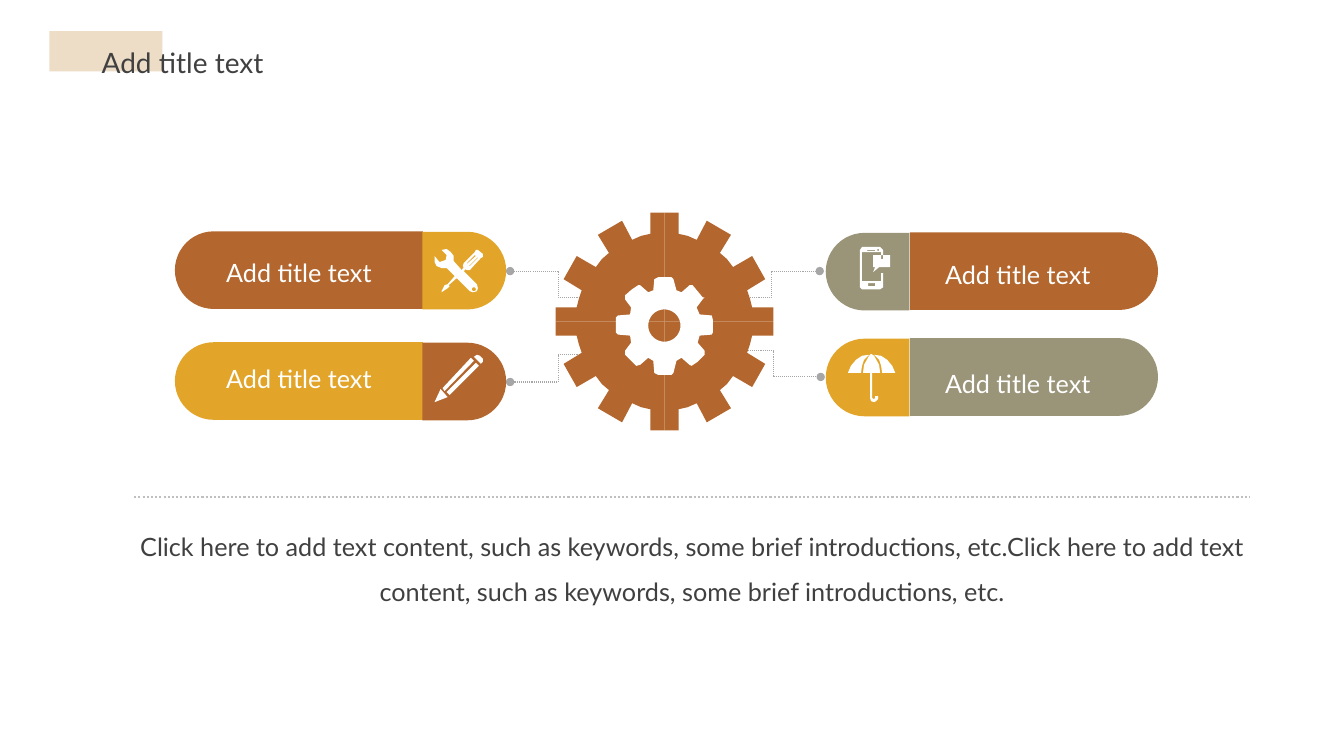
from math import cos, pi, sin

from pptx import Presentation
from pptx.dml.color import RGBColor
from pptx.enum.dml import MSO_LINE
from pptx.enum.shapes import MSO_CONNECTOR, MSO_SHAPE
from pptx.enum.text import MSO_AUTO_SIZE, PP_ALIGN
from pptx.oxml.ns import qn
from pptx.util import Inches, Pt
from lxml.etree import SubElement

RUST = RGBColor(0xB3, 0x67, 0x2E)
GOLD = RGBColor(0xE2, 0xA5, 0x2A)
OLIVE = RGBColor(0x9A, 0x94, 0x79)
SAND = RGBColor(0xED, 0xDD, 0xC6)
WHITE = RGBColor(0xFF, 0xFF, 0xFF)
INK = RGBColor(0x40, 0x40, 0x40)
LINK_GREY = RGBColor(0xA6, 0xA6, 0xA6)
RULE_GREY = RGBColor(0xBF, 0xBF, 0xBF)

deck = Presentation()
deck.slide_width, deck.slide_height = Inches(13.33), Inches(7.5)
page = deck.slides.add_slide(deck.slide_layouts[6])
shapes = page.shapes


def add_outline(contours, color):
    """Fill one freeform made of closed contours, each a list of (x, y) in inches."""
    builder = None
    for contour in contours:
        (x, y), *rest = [(Inches(px), Inches(py)) for px, py in contour]
        if builder is None:
            builder = shapes.build_freeform(x, y)
        else:
            builder.move_to(x, y)
        builder.add_line_segments(rest, close=True)
    outline = builder.convert_to_shape()
    outline.shadow.inherit = False
    outline.fill.solid()
    outline.fill.fore_color.rgb = color
    outline.line.fill.background()


def circle(x, y, radius, steps=48):
    return [(x + radius * cos(2 * pi * i / steps), y + radius * sin(2 * pi * i / steps))
            for i in range(steps)]


# Dotted links and divider: type, from, to, colour, width, round ends
elbow, straight = MSO_CONNECTOR.ELBOW, MSO_CONNECTOR.STRAIGHT
for kind, start, end, color, width, dotted_ends in [
    (elbow, (7.18, 2.95), (8.13, 2.69), LINK_GREY, 0.75, True),
    (elbow, (7.2, 3.48), (8.14, 3.74), LINK_GREY, 0.75, True),
    (elbow, (6.01, 3.52), (5.06, 3.79), LINK_GREY, 0.75, True),
    (elbow, (6.01, 2.95), (5.06, 2.69), LINK_GREY, 0.75, True),
    (straight, (1.33, 4.93), (12.39, 4.93), RULE_GREY, 1.5, False),
]:
    link = shapes.add_connector(kind, *[Inches(v) for v in start + end])
    link.line.color.rgb = color
    link.line.width = Pt(width)
    link.line.dash_style = MSO_LINE.ROUND_DOT
    properties = link._element.spPr
    if dotted_ends:
        for tag in ("a:headEnd", "a:tailEnd"):
            SubElement(properties.find(qn("a:ln")), qn(tag)).set("type", "oval")
    SubElement(properties, qn("a:effectLst"))

# Title accent and pill halves: shape, left, top, width, height, rotation, colour
half = MSO_SHAPE.ROUND_2_SAME_RECTANGLE
for kind, left, top, width, height, rotation, color in [
    (MSO_SHAPE.RECTANGLE, 0.49, 0.31, 1.12, 0.4, 0, SAND),
    (half, 2.58, 1.45, 0.77, 2.46, 270, RUST),
    (half, 4.22, 2.27, 0.77, 0.83, 90, GOLD),
    (half, 2.58, 2.55, 0.77, 2.46, 270, GOLD),
    (half, 4.22, 3.37, 0.77, 0.83, 90, RUST),
    (half, 9.87, 1.46, 0.77, 2.46, 90, RUST),
    (half, 8.22, 2.28, 0.77, 0.83, 270, OLIVE),
    (half, 9.87, 2.51, 0.77, 2.46, 90, OLIVE),
    (half, 8.22, 3.33, 0.77, 0.83, 270, GOLD),
]:
    block = shapes.add_shape(kind, Inches(left), Inches(top), Inches(width), Inches(height))
    if kind == half:
        block.adjustments[0] = 0.5
        block.adjustments[1] = 0
    block.rotation = rotation
    block.shadow.inherit = False
    block.fill.solid()
    block.fill.fore_color.rgb = color
    block.line.fill.background()

# Wrench and screwdriver
add_outline([
    [(4.79, 2.52), (4.74, 2.48), (4.72, 2.48), (4.71, 2.5), (4.6, 2.61), (4.59, 2.64),
     (4.6, 2.65), (4.58, 2.68), (4.5, 2.59), (4.5, 2.54), (4.47, 2.5), (4.43, 2.47),
     (4.38, 2.48), (4.43, 2.53), (4.42, 2.58), (4.36, 2.6), (4.31, 2.54), (4.31, 2.6),
     (4.33, 2.64), (4.38, 2.66), (4.43, 2.66), (4.51, 2.74), (4.44, 2.82), (4.41, 2.83),
     (4.38, 2.89), (4.38, 2.9), (4.44, 2.86), (4.46, 2.84), (4.45, 2.83), (4.53, 2.76),
     (4.66, 2.89), (4.69, 2.9), (4.73, 2.89), (4.74, 2.86), (4.73, 2.82), (4.6, 2.69),
     (4.62, 2.67), (4.63, 2.68), (4.66, 2.68), (4.77, 2.56), (4.79, 2.55)],
    circle(4.7, 2.87, 0.02, 16),
    [(4.63, 2.62), (4.63, 2.61), (4.71, 2.53), (4.72, 2.54)],
    [(4.66, 2.64), (4.65, 2.64), (4.74, 2.55), (4.74, 2.56)],
], WHITE)

# Pencil: tip, two strips, cap
add_outline([
    [(4.37, 3.86), (4.31, 3.99), (4.44, 3.94)],
    [(4.67, 3.55), (4.39, 3.85), (4.41, 3.88), (4.7, 3.58)],
    [(4.72, 3.6), (4.43, 3.89), (4.46, 3.92), (4.75, 3.63)],
    [(4.7, 3.54), (4.73, 3.52), (4.76, 3.53), (4.79, 3.56), (4.79, 3.59), (4.77, 3.61)],
], WHITE)

# Phone with speech bubble
add_outline([
    [(8.74, 2.79), (8.55, 2.79), (8.55, 2.5), (8.74, 2.5), (8.74, 2.57), (8.76, 2.57),
     (8.76, 2.48), (8.73, 2.45), (8.55, 2.45), (8.53, 2.48), (8.53, 2.85), (8.55, 2.87),
     (8.73, 2.87), (8.76, 2.85), (8.76, 2.71), (8.74, 2.71)],
    circle(8.71, 2.48, 0.01, 12),
    [(8.6, 2.48), (8.68, 2.48), (8.68, 2.49), (8.6, 2.49)],
    [(8.61, 2.81), (8.68, 2.81), (8.68, 2.84), (8.61, 2.84)],
    [(8.66, 2.65), (8.68, 2.65), (8.66, 2.7), (8.72, 2.65), (8.83, 2.65), (8.83, 2.53),
     (8.66, 2.53)],
], WHITE)

# Umbrella: mirrored side panels, then middle panel with handle
side_panel = [(8.41, 3.7), (8.44, 3.63), (8.49, 3.57), (8.55, 3.53), (8.62, 3.52),
              (8.57, 3.57), (8.55, 3.63), (8.54, 3.7)]
add_outline([
    side_panel,
    [(17.29 - x, y) for x, y in side_panel],
    [(8.56, 3.7), (8.57, 3.62), (8.62, 3.53), (8.64, 3.51), (8.67, 3.53), (8.72, 3.62),
     (8.73, 3.7), (8.65, 3.7), (8.65, 3.95), (8.67, 3.96), (8.68, 3.95), (8.68, 3.93),
     (8.71, 3.93), (8.71, 3.96), (8.69, 3.98), (8.67, 3.99), (8.64, 3.98), (8.63, 3.95),
     (8.63, 3.7)],
], WHITE)

# Outer gear: one quadrant, as offsets from the centre, mirrored four ways
gear_x, gear_y = 6.59, 3.19
quadrant = [(0, 1.08), (0.14, 1.08), (0.14, 0.87), (0.23, 0.85), (0.32, 0.81), (0.42, 1),
            (0.66, 0.86), (0.55, 0.68), (0.62, 0.62), (0.68, 0.54), (0.87, 0.65), (1, 0.42),
            (0.82, 0.31), (0.85, 0.22), (0.87, 0.14), (1.08, 0.14), (1.08, 0), (0, 0)]
for side_x in (-1, 1):
    for side_y in (-1, 1):
        add_outline([[(gear_x + side_x * x, gear_y + side_y * y) for x, y in quadrant]], RUST)

# Inner gear with a round hole
add_outline([
    [(7.07, 3.3), (7.06, 3.32), (6.94, 3.33), (6.92, 3.4), (6.99, 3.48), (6.99, 3.52),
     (6.92, 3.59), (6.86, 3.63), (6.84, 3.62), (6.76, 3.55), (6.71, 3.58), (6.68, 3.7),
     (6.66, 3.72), (6.53, 3.72), (6.49, 3.7), (6.48, 3.58), (6.43, 3.55), (6.35, 3.62),
     (6.31, 3.63), (6.2, 3.52), (6.2, 3.48), (6.26, 3.4), (6.25, 3.33), (6.13, 3.32),
     (6.11, 3.3), (6.11, 3.15), (6.13, 3.13), (6.25, 3.12), (6.26, 3.05), (6.2, 2.97),
     (6.2, 2.93), (6.27, 2.87), (6.33, 2.83), (6.35, 2.83), (6.43, 2.9), (6.48, 2.88),
     (6.49, 2.77), (6.53, 2.75), (6.66, 2.75), (6.68, 2.77), (6.71, 2.88), (6.76, 2.9),
     (6.84, 2.83), (6.87, 2.83), (6.97, 2.95), (6.99, 2.95), (6.97, 2.97), (6.91, 3.05),
     (6.94, 3.12), (7.06, 3.13), (7.07, 3.17)],
    circle(6.59, 3.23, 0.16),
], WHITE)

# Texts: wording, left, top, width, height, size, colour, alignment, line spacing, padded
TITLE = "Add title text"
BODY = ("Click here to add text content, such as keywords, some brief introductions, etc."
        "Click here to add text content, such as keywords, some brief introductions, etc.")
center = PP_ALIGN.CENTER
for text, left, top, width, height, size, color, align, spacing, padded in [
    (TITLE, 0.91, 0.24, 3.5, 0.55, 20, INK, PP_ALIGN.JUSTIFY, 1.5, True),
    (TITLE, 1.85, 2.54, 2.23, 0.37, 18, WHITE, center, 0.9, True),
    (TITLE, 1.85, 3.59, 2.23, 0.37, 18, WHITE, center, 0.9, True),
    (TITLE, 8.98, 2.52, 2.23, 0.4, 18, WHITE, center, 1.0, True),
    (TITLE, 8.98, 3.61, 2.23, 0.4, 18, WHITE, center, 1.0, True),
    (BODY, 1.33, 5.12, 11.07, 0.86, 18, INK, center, 1.5, False),
]:
    box = shapes.add_textbox(Inches(left), Inches(top), Inches(width), Inches(height))
    frame = box.text_frame
    frame.word_wrap = True
    frame.auto_size = MSO_AUTO_SIZE.SHAPE_TO_FIT_TEXT
    if not padded:
        frame.margin_left = frame.margin_right = frame.margin_top = frame.margin_bottom = 0
    para = frame.paragraphs[0]
    para.alignment = align
    para.line_spacing = spacing
    span = para.add_run()
    span.text = text
    span.font.name = "Lato"
    span.font.size = Pt(size)
    span.font.color.rgb = color

deck.save("out.pptx")
